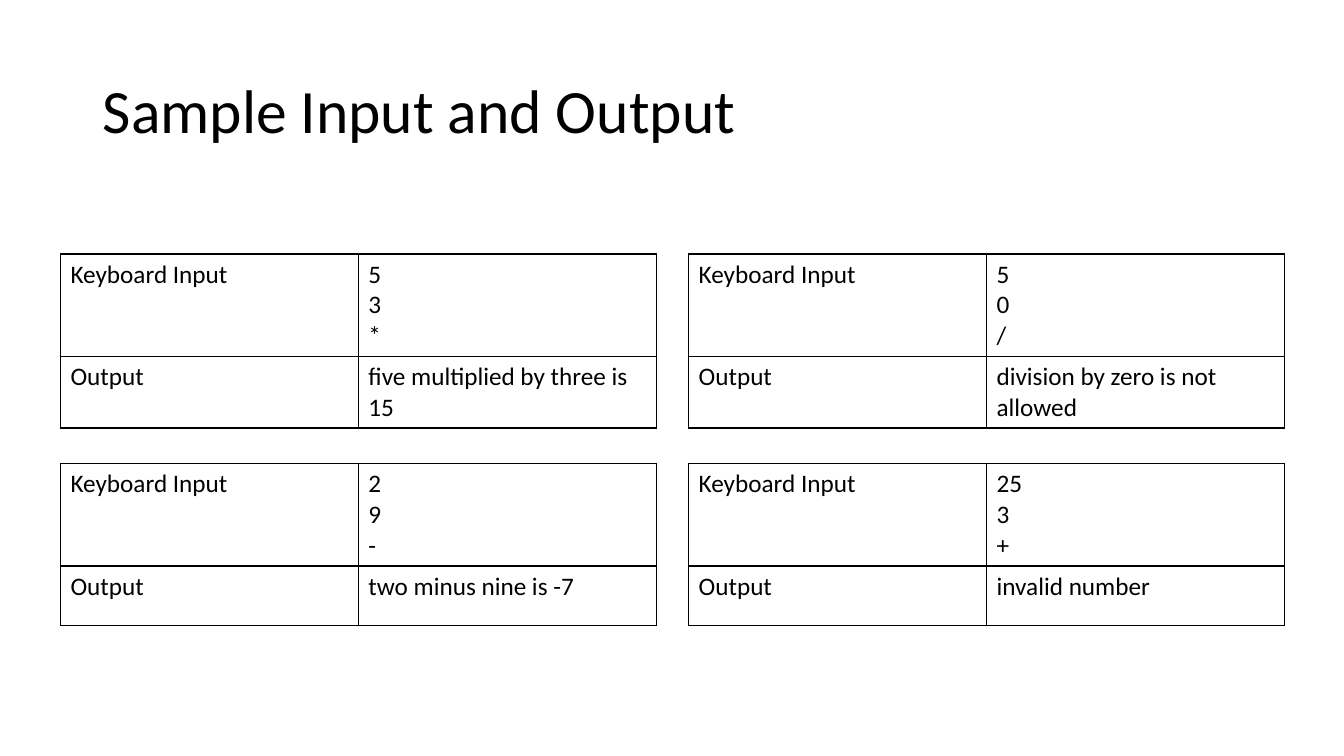
from lxml.etree import SubElement
from pptx import Presentation
from pptx.dml.color import RGBColor
from pptx.enum.text import MSO_ANCHOR, PP_ALIGN
from pptx.oxml.ns import qn
from pptx.util import Inches, Pt

TITLE = "Sample Input and Output"
LABELS = ("Keyboard Input", "Output")
SAMPLES = [
    [(("5", "3", "*"), "five multiplied by three is 15"),
     (("5", "0", "/"), "division by zero is not allowed")],
    [(("2", "9", "-"), "two minus nine is -7"),
     (("25", "3", "+"), "invalid number")],
]
FONT = "Calibri"
BLACK = "000000"
LEFT, TOP = 0.6, 2.52
COLUMN_STEP, ROW_STEP = 6.23, 2.08
TABLE_WIDTH = 5.91
INPUT_HEIGHT, OUTPUT_HEIGHT = 1.0, 0.59


def color(value):
    return RGBColor.from_string(value)


def add_text(paragraph, text, size):
    run = paragraph.add_run()
    run.text = text
    run.font.name = FONT
    run.font.size = Pt(size)
    run.font.color.rgb = color(BLACK)


def add_borders(cell):
    properties = cell._tc.get_or_add_tcPr()
    for side in ("a:lnL", "a:lnR", "a:lnT", "a:lnB"):
        line = SubElement(properties, qn(side), w=str(Pt(1)))
        fill = SubElement(line, qn("a:solidFill"))
        SubElement(fill, qn("a:srgbClr"), val=BLACK)


def fill_cell(cell, lines):
    add_borders(cell)
    cell.fill.background()
    frame = cell.text_frame
    for index, text in enumerate(lines):
        paragraph = frame.add_paragraph() if index else frame.paragraphs[0]
        add_text(paragraph, text, 18)


def add_sample(slide, left, top, keyboard, output):
    frame = slide.shapes.add_table(
        2, 2, Inches(left), Inches(top), Inches(TABLE_WIDTH),
        Inches(INPUT_HEIGHT + OUTPUT_HEIGHT))
    table = frame.table
    table.first_row = False
    table.horz_banding = False
    table.rows[0].height = Inches(INPUT_HEIGHT)
    table.rows[1].height = Inches(OUTPUT_HEIGHT)
    for row, (label, lines) in enumerate(zip(LABELS, (keyboard, (output,)))):
        fill_cell(table.cell(row, 0), (label,))
        fill_cell(table.cell(row, 1), lines)


def main():
    presentation = Presentation()
    presentation.slide_width = Inches(13.33)
    presentation.slide_height = Inches(7.5)
    slide = presentation.slides.add_slide(presentation.slide_layouts[5])

    title = slide.shapes.title
    title.left, title.top = Inches(0.92), Inches(0.4)
    title.width, title.height = Inches(11.5), Inches(1.45)
    title.text_frame.vertical_anchor = MSO_ANCHOR.MIDDLE
    paragraph = title.text_frame.paragraphs[0]
    paragraph.alignment = PP_ALIGN.LEFT
    paragraph.line_spacing = 0.9
    add_text(paragraph, TITLE, 44)

    for row, samples in enumerate(SAMPLES):
        for column, (keyboard, output) in enumerate(samples):
            add_sample(slide, LEFT + column * COLUMN_STEP,
                       TOP + row * ROW_STEP, keyboard, output)

    presentation.save("out.pptx")


if __name__ == "__main__":
    main()
